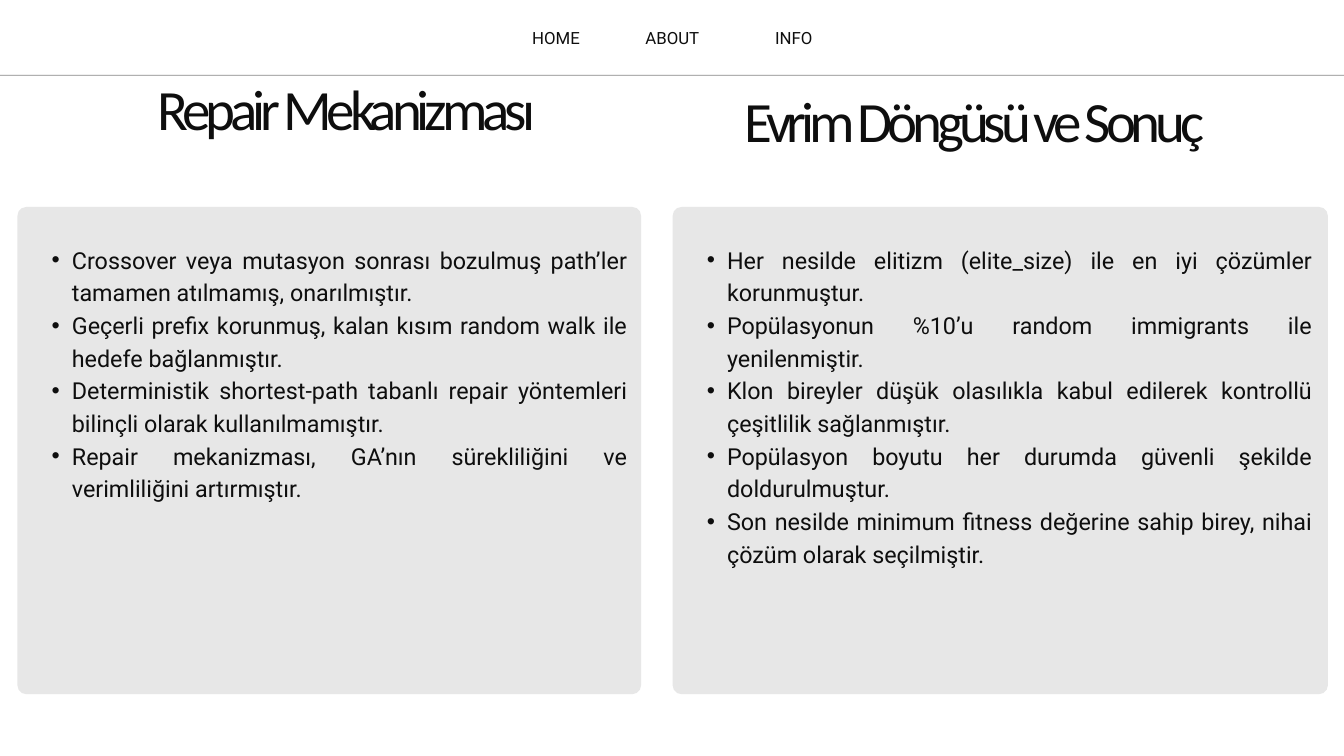
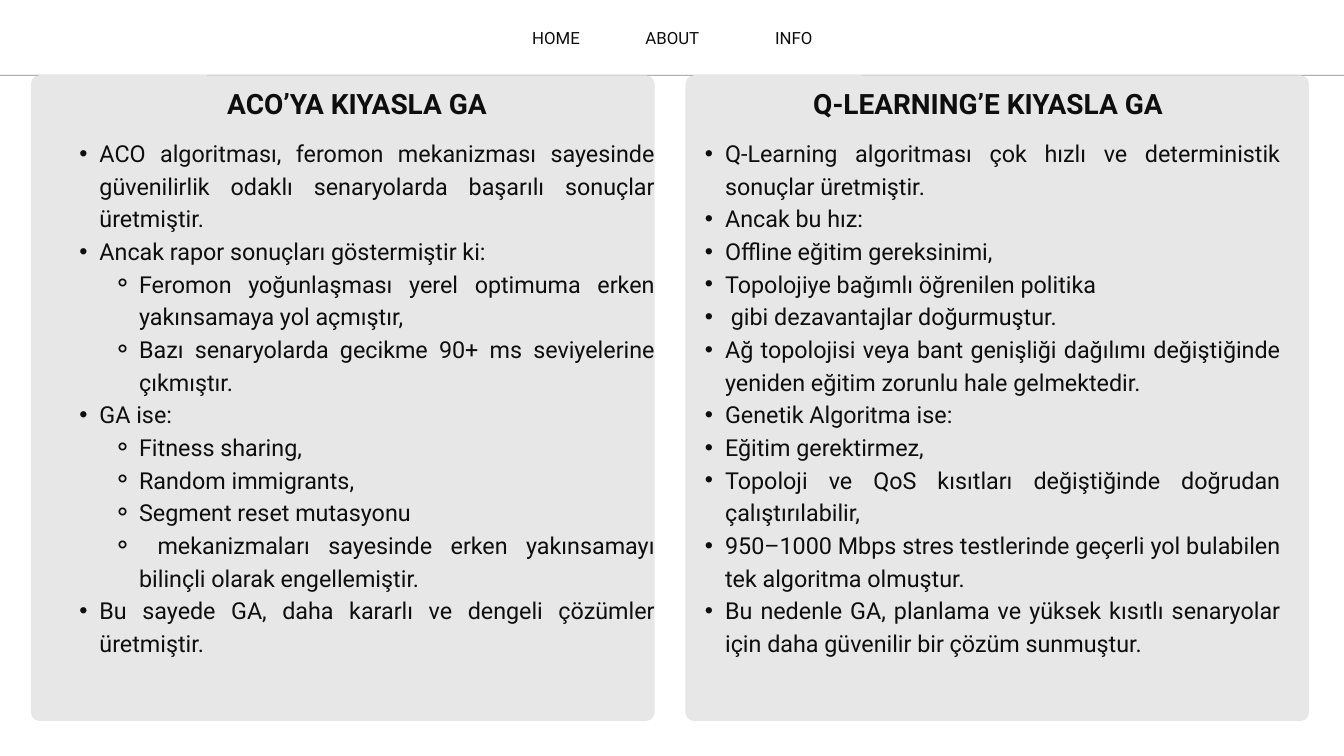
from lxml import etree
from pptx import Presentation
from pptx.dml.color import RGBColor
from pptx.enum.shapes import MSO_CONNECTOR, MSO_SHAPE
from pptx.enum.text import MSO_ANCHOR, MSO_AUTO_SIZE, PP_ALIGN
from pptx.oxml.ns import qn
from pptx.util import Pt

PX = 9144
WIDTH, HEIGHT = 2000, 1125
LEFT, CENTER, RIGHT, JUSTIFY = PP_ALIGN.LEFT, PP_ALIGN.CENTER, PP_ALIGN.RIGHT, PP_ALIGN.JUSTIFY
TOP, GROW = MSO_ANCHOR.TOP, MSO_AUTO_SIZE.SHAPE_TO_FIT_TEXT
STRAIGHT, ROUNDED = MSO_CONNECTOR.STRAIGHT, MSO_SHAPE.ROUNDED_RECTANGLE
COLORS = {"ink": "0E0E0E", "panel": "E7E7E7"}
STYLES = {
    "title": {"name": "Calibri", "size": 61, "bold": False, "leading": 64.7, "spacing": -540},
    "heading": {"name": "Roboto", "size": 30, "bold": True, "leading": 42, "spacing": 0},
    "body": {"name": "Roboto", "size": 25, "bold": False, "leading": 35, "spacing": 0},
    "nav": {"name": "Roboto", "size": 18, "bold": False, "leading": 25.2, "spacing": 0},
}
BULLETS = {1: ("•", 59, -30), 2: ("⚬", 118, -39)}
NAV = [("HOME", LEFT), ("ABOUT", CENTER), ("INFO", RIGHT)]
NAV_LEFT, NAV_STEP = 792, 151
RULE_Y, OVERHANG, RADIUS = 112, 14, 13

SLIDES = [
    [
        {
            "panel": (26, 308, 928, 725),
            "title": ("Repair Mekanizması", "title", (88, 122, 855, 92)),
            "list": (48, 359, 885, 430),
            "items": [
                (1, "Crossover veya mutasyon sonrası bozulmuş path’ler tamamen atılmamış, onarılmıştır."),
                (1, "Geçerli prefix korunmuş, kalan kısım random walk ile hedefe bağlanmıştır."),
                (1, "Deterministik shortest-path tabanlı repair yöntemleri bilinçli olarak kullanılmamıştır."),
                (1, "Repair mekanizması, GA’nın sürekliliğini ve verimliliğini artırmıştır."),
            ],
        },
        {
            "panel": (1001, 308, 975, 725),
            "title": ("Evrim Döngüsü ve Sonuç", "title", (1023, 139, 855, 298)),
            "list": (1023, 359, 929, 525),
            "items": [
                (1, "Her nesilde elitizm (elite_size) ile en iyi çözümler korunmuştur."),
                (1, "Popülasyonun %10’u random immigrants ile yenilenmiştir."),
                (1, "Klon bireyler düşük olasılıkla kabul edilerek kontrollü çeşitlilik sağlanmıştır."),
                (1, "Popülasyon boyutu her durumda güvenli şekilde doldurulmuştur."),
                (1, "Son nesilde minimum fitness değerine sahip birey, nihai çözüm olarak seçilmiştir."),
            ],
        },
    ],
    [
        {
            "panel": (46, 112, 928, 961),
            "title": ("ACO’YA KIYASLA GA", "heading", (89, 121, 885, 116)),
            "list": (89, 200, 885, 813),
            "items": [
                (1, "ACO algoritması, feromon mekanizması sayesinde güvenilirlik odaklı "
                    "senaryolarda başarılı sonuçlar üretmiştir."),
                (1, "Ancak rapor sonuçları göstermiştir ki:"),
                (2, "Feromon yoğunlaşması yerel optimuma erken yakınsamaya yol açmıştır,"),
                (2, "Bazı senaryolarda gecikme 90+ ms seviyelerine çıkmıştır."),
                (1, "GA ise:"),
                (2, "Fitness sharing,"),
                (2, "Random immigrants,"),
                (2, "Segment reset mutasyonu"),
                (2, " mekanizmaları sayesinde erken yakınsamayı bilinçli olarak engellemiştir."),
                (1, "Bu sayede GA, daha kararlı ve dengeli çözümler üretmiştir."),
            ],
        },
        {
            "panel": (1020, 112, 928, 961),
            "title": ("Q-LEARNING’E KIYASLA GA", "heading", (1028, 121, 885, 57)),
            "list": (1020, 200, 885, 861),
            "items": [
                (1, "Q-Learning algoritması çok hızlı ve deterministik sonuçlar üretmiştir."),
                (1, "Ancak bu hız:"),
                (1, "Offline eğitim gereksinimi,"),
                (1, "Topolojiye bağımlı öğrenilen politika"),
                (1, " gibi dezavantajlar doğurmuştur."),
                (1, "Ağ topolojisi veya bant genişliği dağılımı değiştiğinde yeniden eğitim "
                    "zorunlu hale gelmektedir."),
                (1, "Genetik Algoritma ise:"),
                (1, "Eğitim gerektirmez,"),
                (1, "Topoloji ve QoS kısıtları değiştiğinde doğrudan çalıştırılabilir,"),
                (1, "950–1000 Mbps stres testlerinde geçerli yol bulabilen tek algoritma olmuştur."),
                (1, "Bu nedenle GA, planlama ve yüksek kısıtlı senaryolar için daha güvenilir "
                    "bir çözüm sunmuştur."),
            ],
        },
    ],
]


def emu(box):
    return [v * PX for v in box]


class Deck:
    """Holds the shared style and the current slide, and draws each kind of element."""

    def __init__(self):
        self.prs = Presentation()
        self.prs.slide_width, self.prs.slide_height = emu((WIDTH, HEIGHT))

    def new_slide(self):
        self.s = self.prs.slides.add_slide(self.prs.slide_layouts[5])
        self.rule()
        for i, (label, align) in enumerate(NAV):
            self.text((NAV_LEFT + i * NAV_STEP, 36, 115, 34), label, "nav", align)

    def rule(self):
        ends = emu((-OVERHANG, RULE_Y, WIDTH + OVERHANG, RULE_Y))
        line = self.s.shapes.add_connector(STRAIGHT, *ends)
        line.line.width = Pt(0.75)
        line.line.color.rgb = RGBColor.from_string(COLORS["ink"])
        spPr = line.element.spPr
        color = spPr.find(".//" + qn("a:srgbClr"))
        etree.SubElement(color, qn("a:alpha"), val="50000")
        etree.SubElement(spPr, qn("a:effectLst"))

    def panel(self, box):
        sp = self.s.shapes.add_shape(ROUNDED, *emu(box))
        sp.adjustments[0] = RADIUS / min(box[2:])
        sp.shadow.inherit = False
        sp.fill.solid()
        sp.fill.fore_color.rgb = RGBColor.from_string(COLORS["panel"])
        sp.line.fill.background()

    def frame(self, sp):
        tf = sp.text_frame
        format_values = {"margin_left": 0, "margin_top": 0, "margin_right": 0, "margin_bottom": 0,
                         "word_wrap": True, "auto_size": GROW, "vertical_anchor": TOP}
        for name, value in format_values.items():
            setattr(tf, name, value)
        return tf

    def paragraph(self, p, text, style, align):
        look = STYLES[style]
        p.alignment = align
        p.line_spacing = Pt(look["leading"])
        r = p.add_run()
        r.text = text
        for name, value in {"name": look["name"], "size": Pt(look["size"]), "bold": look["bold"]}.items():
            setattr(r.font, name, value)
        r.font.color.rgb = RGBColor.from_string(COLORS["ink"])
        if look["spacing"]:
            r.font._element.set("spc", str(look["spacing"]))

    def text(self, box, text, style, align):
        tf = self.frame(self.s.shapes.add_textbox(*emu(box)))
        self.paragraph(tf.paragraphs[0], text, style, align)

    def title(self, box, text, style):
        sp = self.s.shapes.title
        sp.left, sp.top, sp.width, sp.height = emu(box)
        self.s.shapes.element.append(sp.element)
        self.paragraph(self.frame(sp).paragraphs[0], text, style, CENTER)

    def bullets(self, box, items):
        tf = self.frame(self.s.shapes.add_textbox(*emu(box)))
        for i, (level, text) in enumerate(items):
            p = tf.add_paragraph() if i else tf.paragraphs[0]
            p.level = level
            char, margin, indent = BULLETS[level]
            pPr = p._p.get_or_add_pPr()
            pPr.set("marL", str(margin * PX))
            pPr.set("indent", str(indent * PX))
            etree.SubElement(pPr, qn("a:buFont"), typeface="Arial")
            etree.SubElement(pPr, qn("a:buChar"), char=char)
            self.paragraph(p, text, "body", JUSTIFY)


def main():
    deck = Deck()
    for columns in SLIDES:
        deck.new_slide()
        for i, column in enumerate(columns):
            deck.panel(column["panel"])
            text, style, box = column["title"]
            if i == 0:
                deck.title(box, text, style)
            else:
                deck.text(box, text, style, CENTER)
            deck.bullets(column["list"], column["items"])
    deck.prs.save("out.pptx")


if __name__ == "__main__":
    main()
